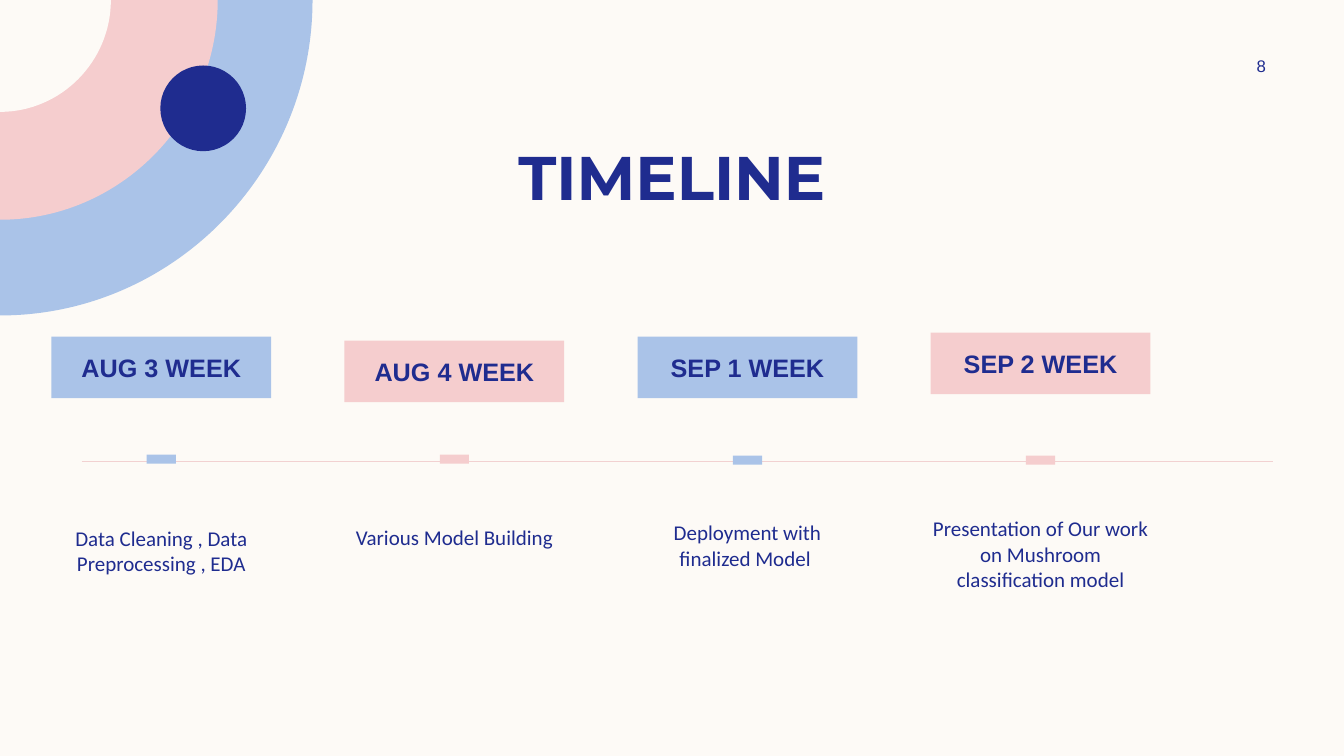
from dataclasses import dataclass

from lxml import etree
from pptx import Presentation
from pptx.dml.color import RGBColor
from pptx.enum import shapes, text
from pptx.oxml import ns
from pptx.util import Inches, Pt

ARC_PULL = 0.55  # control point distance of a quarter ellipse, as a share of its radius


@dataclass(frozen=True)
class Theme:
    cream: str = "FDFAF6"
    blue: str = "AAC3E8"
    pink: str = "F5CDCE"
    navy: str = "1F2C8F"
    rule: str = "F2D1D1"
    title_font: str = "Montserrat"
    label_font: str = "Arial"
    body_font: str = "Calibri"
    title_size: int = 44
    label_size: int = 18
    body_size: int = 15
    number_size: int = 12


def write_text(box, words, *, font, size, color, bold=False,
               anchor=text.MSO_ANCHOR.TOP, insets=(0.1, 0.05)):
    """Put one centred paragraph in a box; insets are (sides, top and bottom)."""
    frame = box.text_frame
    frame.word_wrap = True
    frame.auto_size = text.MSO_AUTO_SIZE.NONE
    frame.vertical_anchor = anchor
    frame.margin_left = frame.margin_right = Inches(insets[0])
    frame.margin_top = frame.margin_bottom = Inches(insets[1])
    para = frame.paragraphs[0]
    para.alignment = text.PP_ALIGN.CENTER
    para.line_spacing = 1.0
    para.space_before = Pt(0)
    span = para.add_run()
    span.text = words
    span.font.name = font
    span.font.size = Pt(size)
    span.font.bold = bold
    span.font.color.rgb = RGBColor.from_string(color)


class TimelinePage:
    def __init__(self, deck, theme):
        self.theme = theme
        self.page = deck.slides.add_slide(deck.slide_layouts[5])
        background = self.page.background.fill
        background.solid()
        background.fore_color.rgb = RGBColor.from_string(theme.cream)

    def paint(self, shape, color):
        shape.shadow.inherit = False
        shape.fill.solid()
        shape.fill.fore_color.rgb = RGBColor.from_string(color)
        shape.line.fill.background()
        return shape

    def shape(self, kind, left, top, width, height, color):
        shape = self.page.shapes.add_shape(
            kind, Inches(left), Inches(top), Inches(width), Inches(height))
        return self.paint(shape, color)

    def quarter_disc(self, width, height, color):
        """Fill a quarter ellipse centred on the top left corner of the page."""
        right, bottom = Inches(width), Inches(height)
        builder = self.page.shapes.build_freeform(0, 0)
        builder.add_line_segments([(right, 0), (0, bottom)], close=True)
        disc = self.paint(builder.convert_to_shape(), color)
        # Bend the side from the right end to the bottom end into an arc
        chord = list(disc._element.spPr.iter(ns.qn("a:lnTo")))[1]
        arc = etree.Element(ns.qn("a:cubicBezTo"))
        for x, y in [(right, bottom * ARC_PULL), (right * ARC_PULL, bottom), (0, bottom)]:
            etree.SubElement(arc, ns.qn("a:pt"), x=str(int(x)), y=str(int(y)))
        chord.getparent().replace(chord, arc)

    def rule(self, left, right, top):
        line = self.page.shapes.add_connector(
            shapes.MSO_CONNECTOR.STRAIGHT,
            Inches(left), Inches(top), Inches(right), Inches(top))
        line.line.width = Pt(1)
        line.line.color.rgb = RGBColor.from_string(self.theme.rule)
        etree.SubElement(line._element.spPr, ns.qn("a:effectLst"))

    def title(self, words, left, top, width, height):
        box = self.page.shapes.title
        box.left, box.top = Inches(left), Inches(top)
        box.width, box.height = Inches(width), Inches(height)
        write_text(box, words, font=self.theme.title_font, bold=True,
                   size=self.theme.title_size, color=self.theme.navy)

    def text_box(self, words, left, top, width, height, **style):
        box = self.page.shapes.add_textbox(
            Inches(left), Inches(top), Inches(width), Inches(height))
        write_text(box, words, color=self.theme.navy, **style)

    def week(self, label, left, top, width, height, color):
        card = self.shape(shapes.MSO_SHAPE.RECTANGLE, left, top, width, height, color)
        write_text(card, label, font=self.theme.label_font, bold=True,
                   size=self.theme.label_size, color=self.theme.navy,
                   anchor=text.MSO_ANCHOR.MIDDLE, insets=(0, 0))


def main():
    theme = Theme()
    deck = Presentation()
    deck.slide_width, deck.slide_height = Inches(13.33), Inches(7.5)
    page = TimelinePage(deck, theme)

    page.quarter_disc(3.1, 3.13, theme.blue)
    page.quarter_disc(2.16, 2.18, theme.pink)
    page.quarter_disc(1.1, 1.11, theme.cream)
    page.shape(shapes.MSO_SHAPE.OVAL, 1.59, 0.65, 0.85, 0.85, theme.navy)

    page.rule(0.81, 12.63, 4.58)
    page.title("TIMELINE", 0.83, 1.33, 11.67, 0.84)
    page.text_box("8", 11.97, 0.5, 1.08, 0.3, font=theme.label_font,
                  size=theme.number_size, anchor=text.MSO_ANCHOR.MIDDLE)

    # Label, card top, marker top, task, task top
    weeks = [
        ("AUG 3 WEEK", 3.34, 4.51, "Data Cleaning , Data Preprocessing , EDA", 5.16),
        ("AUG 4 WEEK", 3.38, 4.51, "Various Model Building", 5.15),
        ("SEP 1 WEEK", 3.34, 4.52, "Deployment with finalized Model ", 5.11),
        ("SEP 2 WEEK", 3.3, 4.52,
         "Presentation of Our work on Mushroom classification model", 5.07),
    ]
    first_left, last_left, card_width, marker_width = 0.51, 9.23, 2.18, 0.29
    pitch = (last_left - first_left) / (len(weeks) - 1)
    for index, (label, card_top, marker_top, task, task_top) in enumerate(weeks):
        left = first_left + index * pitch
        color = (theme.blue, theme.pink)[index % 2]
        page.week(label, left, card_top, card_width, 0.61, color)
        page.shape(shapes.MSO_SHAPE.RECTANGLE, left + (card_width - marker_width) / 2,
                   marker_top, marker_width, 0.09, color)
        page.text_box(task, left, task_top, card_width, 0.87, font=theme.body_font,
                      size=theme.body_size, insets=(0, 0.05))

    deck.save("out.pptx")


if __name__ == "__main__":
    main()
